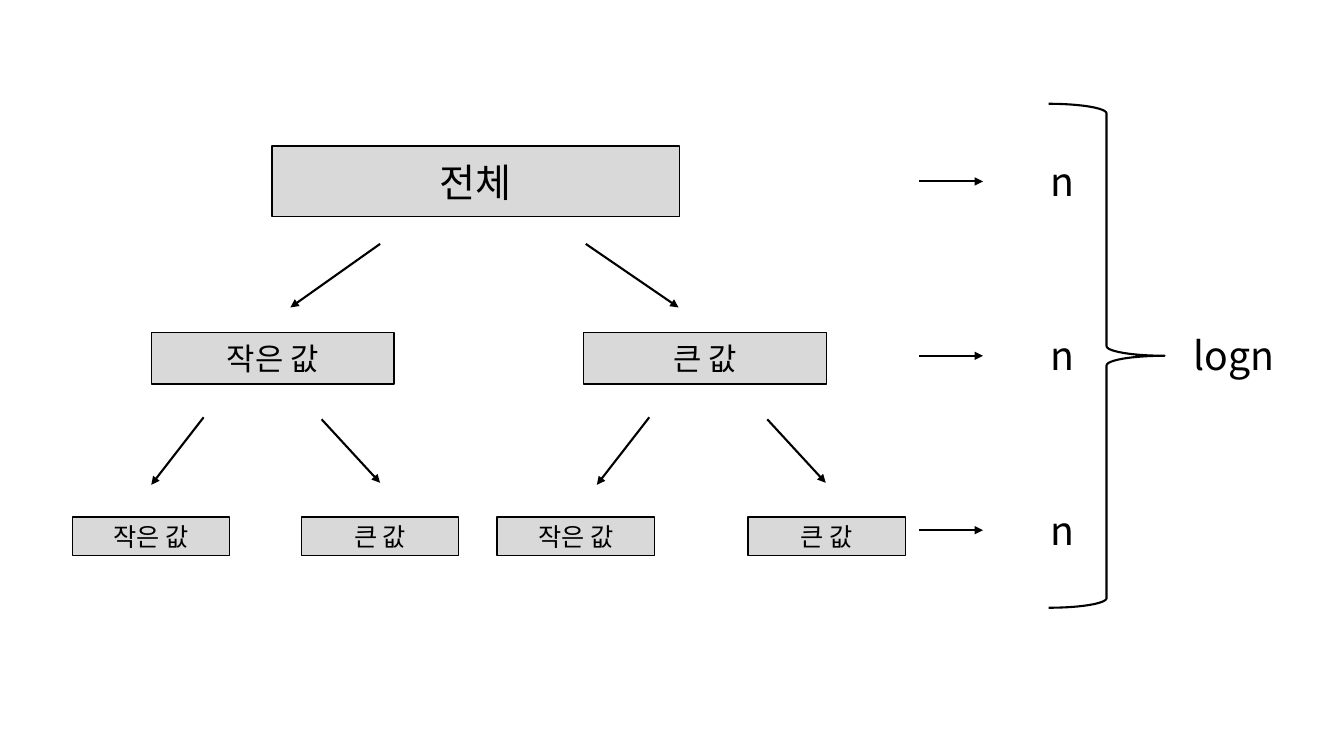
from pptx import Presentation
from pptx.dml.color import RGBColor
from pptx.enum.shapes import MSO_CONNECTOR as Connector, MSO_SHAPE as Shape
from pptx.enum.text import MSO_ANCHOR as Anchor, MSO_AUTO_SIZE as AutoSize, PP_ALIGN as Align
from pptx.oxml.ns import qn
from pptx.util import Inches, Pt
from lxml.etree import SubElement

BLACK = RGBColor(0x00, 0x00, 0x00)
GREY = RGBColor(0xD9, 0xD9, 0xD9)
FONT = "Noto Sans CJK KR"
CELL = 0.1  # inches per grid column and row


def grid(*cells):
    return [Inches(count * CELL) for count in cells]


class Diagram:
    def __init__(self, page):
        self.page = page

    def add_text(self, frame, text, size, align):
        para = frame.paragraphs[0]
        para.alignment = align
        span = para.add_run()
        span.text = text
        span.font.size = Pt(size)
        span.font.name = FONT
        span.font.color.rgb = BLACK
        SubElement(span.font._element, qn("a:ea")).set("typeface", FONT)

    def outline(self, line, weight):
        line.color.rgb = BLACK
        line.width = Pt(weight)

    def box(self, left, top, width, height, text, size):
        box = self.page.shapes.add_shape(Shape.RECTANGLE, *grid(left, top, width, height))
        box.shadow.inherit = False
        box.fill.solid()
        box.fill.fore_color.rgb = GREY
        self.outline(box.line, 1)
        box.text_frame.vertical_anchor = Anchor.MIDDLE
        self.add_text(box.text_frame, text, size, Align.CENTER)

    def label(self, left, top, width, text):
        box = self.page.shapes.add_textbox(*grid(left, top, width, 5.7))
        box.text_frame.word_wrap = False
        box.text_frame.auto_size = AutoSize.SHAPE_TO_FIT_TEXT
        self.add_text(box.text_frame, text, 28, Align.LEFT)

    def arrow(self, x, y, across, down):
        arrow = self.page.shapes.add_connector(
            Connector.STRAIGHT, *grid(x, y, x + across, y + down))
        self.outline(arrow.line, 1.5)
        properties = arrow._element.spPr
        SubElement(properties.find(qn("a:ln")), qn("a:tailEnd")).set("type", "triangle")
        SubElement(properties, qn("a:effectLst"))

    def brace(self, left, top, width, height):
        brace = self.page.shapes.add_shape(Shape.RIGHT_BRACE, *grid(left, top, width, height))
        brace.shadow.inherit = False
        brace.fill.background()
        self.outline(brace.line, 1.5)


deck = Presentation()
deck.slide_width, deck.slide_height = Inches(13.33), Inches(7.5)
diagram = Diagram(deck.slides.add_slide(deck.slide_layouts[6]))
SMALL, LARGE = "작은 값", "큰 값"

# Tree of partitions
diagram.box(27, 14.5, 40.4, 7, "전체", 28)
for left, text in ((15, SMALL), (57.9, LARGE)):
    diagram.box(left, 33, 24.1, 5.1, text, 22)
for left, text in ((7.2, SMALL), (29.9, LARGE), (49.3, SMALL), (74.2, LARGE)):
    diagram.box(left, 51.3, 15.6, 3.8, text, 18)

# Arrows between the levels
diagram.arrow(37.7, 24.2, -8.9, 6.3)
diagram.arrow(58.1, 24.2, 9.2, 6.3)
for shift in (0, 44.2):
    diagram.arrow(20.2 + shift, 41.4, -5.2, 6.7)
    diagram.arrow(31.9 + shift, 41.6, 5.8, 6.3)

# Cost of each level
for level in range(3):
    middle = 18 + level * 17.3
    diagram.arrow(91.2, middle, 6.3, 0)
    diagram.label(103.2, middle - 2.9, 4.3, "n")

# Number of levels
diagram.brace(104, 10.3, 11.5, 50)
diagram.label(117.4, 32.4, 10, "logn")

deck.save("out.pptx")
